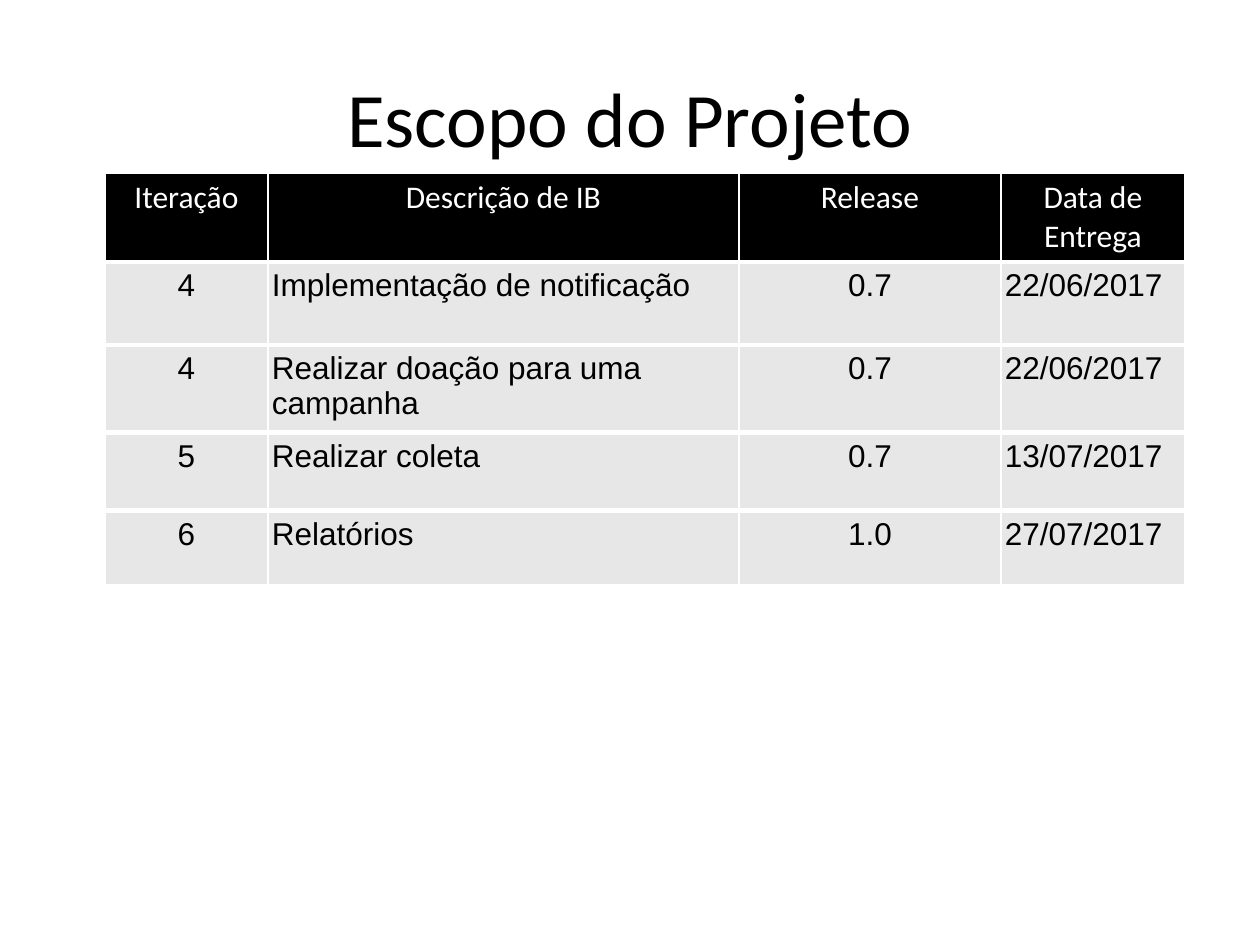
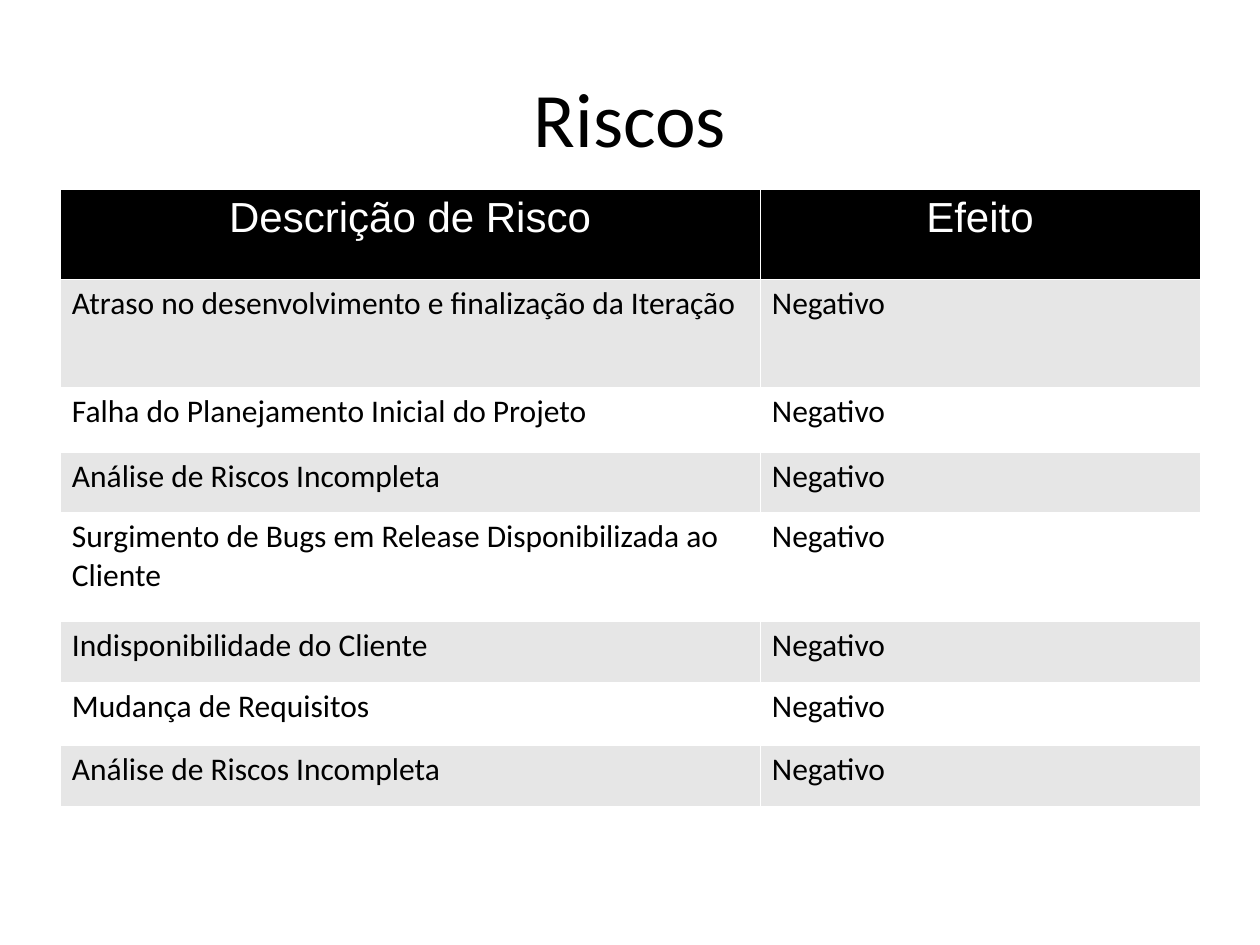
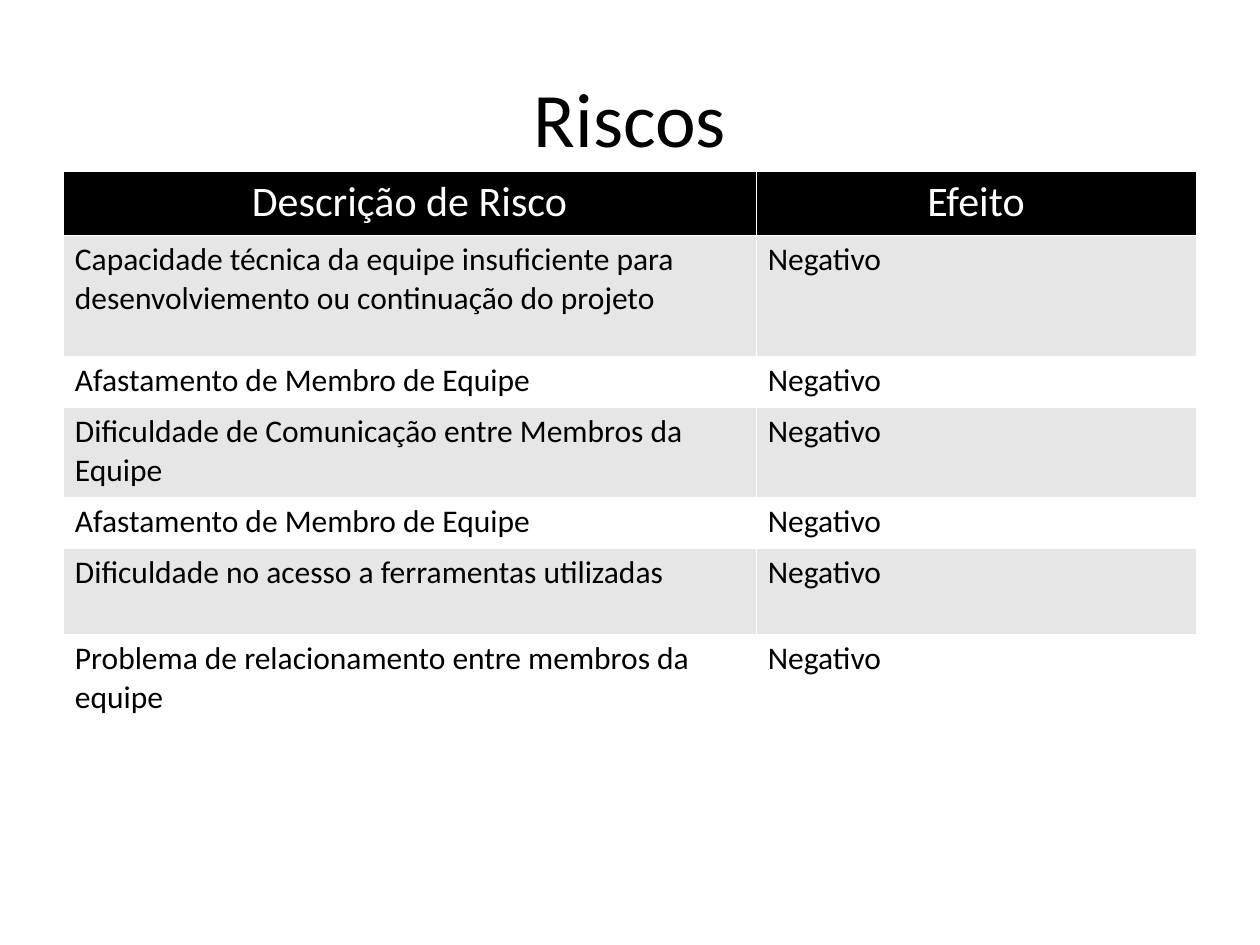
from dataclasses import dataclass

from lxml import etree
from pptx import Presentation
from pptx.dml.color import RGBColor
from pptx.enum.text import MSO_ANCHOR, PP_ALIGN
from pptx.oxml.ns import qn
from pptx.util import Pt

LEFT, CENTER = PP_ALIGN.LEFT, PP_ALIGN.CENTER
MIDDLE = MSO_ANCHOR.MIDDLE
PX = 914400 / 126


@dataclass(frozen=True)
class Theme:
    black: RGBColor = RGBColor(0x00, 0x00, 0x00)
    white: RGBColor = RGBColor(0xFF, 0xFF, 0xFF)
    scope_band: RGBColor = RGBColor(0xE7, 0xE7, 0xE7)
    risk_band: RGBColor = RGBColor(0xE6, 0xE6, 0xE6)
    sans: str = "Calibri"
    plain: str = "Arial"
    title: int = 44
    heading: int = 24
    body: int = 18


T = Theme()
TITLE_BOX = (63, 38, 1134, 158)

SCOPE_STYLE = {
    "head": (T.sans, T.body),
    "body": (T.plain, T.body),
    "bands": (T.scope_band,),
    "aligns": (CENTER, LEFT, CENTER, LEFT),
    "inset": 4,
    "rules": (0.96, 3),
}
RISK_STYLE = {
    "head": (T.sans, T.heading),
    "body": (T.sans, T.body),
    "bands": (T.risk_band, T.white),
    "aligns": (LEFT, LEFT),
    "inset": 12,
    "rules": (0.06, 0.06),
}

SCOPE_ROWS = [
    ("Iteração", "Descrição de IB", "Release", "Data de Entrega"),
    ("4", "Implementação de notificação", "0.7", "22/06/2017"),
    ("4", "Realizar doação para uma campanha", "0.7", "22/06/2017"),
    ("5", "Realizar coleta", "0.7", "13/07/2017"),
    ("6", "Relatórios", "1.0", "27/07/2017"),
]
PROJECT_RISKS = [
    "Atraso no desenvolvimento e finalização da Iteração",
    "Falha do Planejamento Inicial do Projeto",
    "Análise de Riscos Incompleta",
    "Surgimento de Bugs em Release Disponibilizada ao Cliente",
    "Indisponibilidade do Cliente",
    "Mudança de Requisitos",
    "Análise de Riscos Incompleta",
]
TEAM_RISKS = [
    "Capacidade técnica da equipe insuficiente para desenvolviemento ou continuação do projeto",
    "Afastamento de Membro de Equipe",
    "Dificuldade de Comunicação entre Membros da Equipe",
    "Afastamento de Membro de Equipe",
    "Dificuldade no acesso a ferramentas utilizadas",
    "Problema de relacionamento entre membros da equipe",
]


def px(n):
    return round(n * PX)


def assign(obj, values):
    for name, value in values.items():
        setattr(obj, name, value)


def write(tf, text, font, size, color, align):
    p = tf.paragraphs[0]
    p.alignment = align
    r = p.add_run()
    r.text = text
    assign(r.font, {"name": font, "size": Pt(size), "bold": False})
    r.font.color.rgb = color


def add_title(s, text, box):
    sp = s.shapes.add_textbox(*map(px, box))
    assign(sp.text_frame, {"word_wrap": True, "vertical_anchor": MIDDLE})
    write(sp.text_frame, text, T.sans, T.title, T.black, CENTER)


def add_borders(cell, widths):
    tc_pr = cell._tc.get_or_add_tcPr()
    for i, (side, width) in enumerate(widths.items()):
        ln = etree.Element(qn(f"a:ln{side}"), w=str(Pt(width)))
        fill = etree.SubElement(ln, qn("a:solidFill"))
        etree.SubElement(fill, qn("a:srgbClr"), val=str(T.white))
        tc_pr.insert(i, ln)


def add_grid(s, rows, left, top, widths, heights, style):
    frame = s.shapes.add_table(len(rows), len(widths), px(left), px(top),
                               px(sum(widths)), px(sum(heights)))
    table = frame.table
    table.horz_banding = False
    for column, width in zip(table.columns, widths):
        column.width = px(width)
    for row, height in zip(table.rows, heights):
        row.height = px(height)

    side, across = style["rules"]
    inset = px(style["inset"])
    for i, texts in enumerate(rows):
        is_head = i == 0
        font, size = style["head" if is_head else "body"]
        color = T.white if is_head else T.black
        bands = style["bands"]
        band = T.black if is_head else bands[(i - 1) % len(bands)]
        borders = {"L": side, "R": side, "T": side if is_head else across, "B": across}
        for j, text in enumerate(texts):
            cell = table.cell(i, j)
            assign(cell, {"margin_left": inset, "margin_right": inset,
                          "margin_top": px(6), "margin_bottom": px(6)})
            cell.fill.solid()
            cell.fill.fore_color.rgb = band
            add_borders(cell, borders)
            align = CENTER if is_head else style["aligns"][j]
            write(cell.text_frame, text, font, size, color, align)


def table_slide(prs, title, *grid):
    s = prs.slides.add_slide(prs.slide_layouts[6])
    add_title(s, title, TITLE_BOX)
    add_grid(s, *grid)


def risk_slide(prs, risks, left, top, widths, heights, head_font):
    rows = [("Descrição de Risco", "Efeito")] + [(risk, "Negativo") for risk in risks]
    style = {**RISK_STYLE, "head": (head_font, T.heading)}
    table_slide(prs, "Riscos", rows, left, top, widths, heights, style)


def main():
    prs = Presentation()
    assign(prs, {"slide_width": px(1260), "slide_height": px(945)})
    table_slide(prs, "Escopo do Projeto", SCOPE_ROWS, 105, 173,
                (163, 471, 262, 184), (89, 83, 83, 78, 76), SCOPE_STYLE)
    risk_slide(prs, PROJECT_RISKS, 60, 189, (700, 440),
               (90, 108, 65, 60, 109, 61, 63, 61), T.plain)
    risk_slide(prs, TEAM_RISKS, 63, 171, (693, 440),
               (64, 121, 51, 90, 51, 86, 90), T.sans)
    prs.save("out.pptx")


if __name__ == "__main__":
    main()
